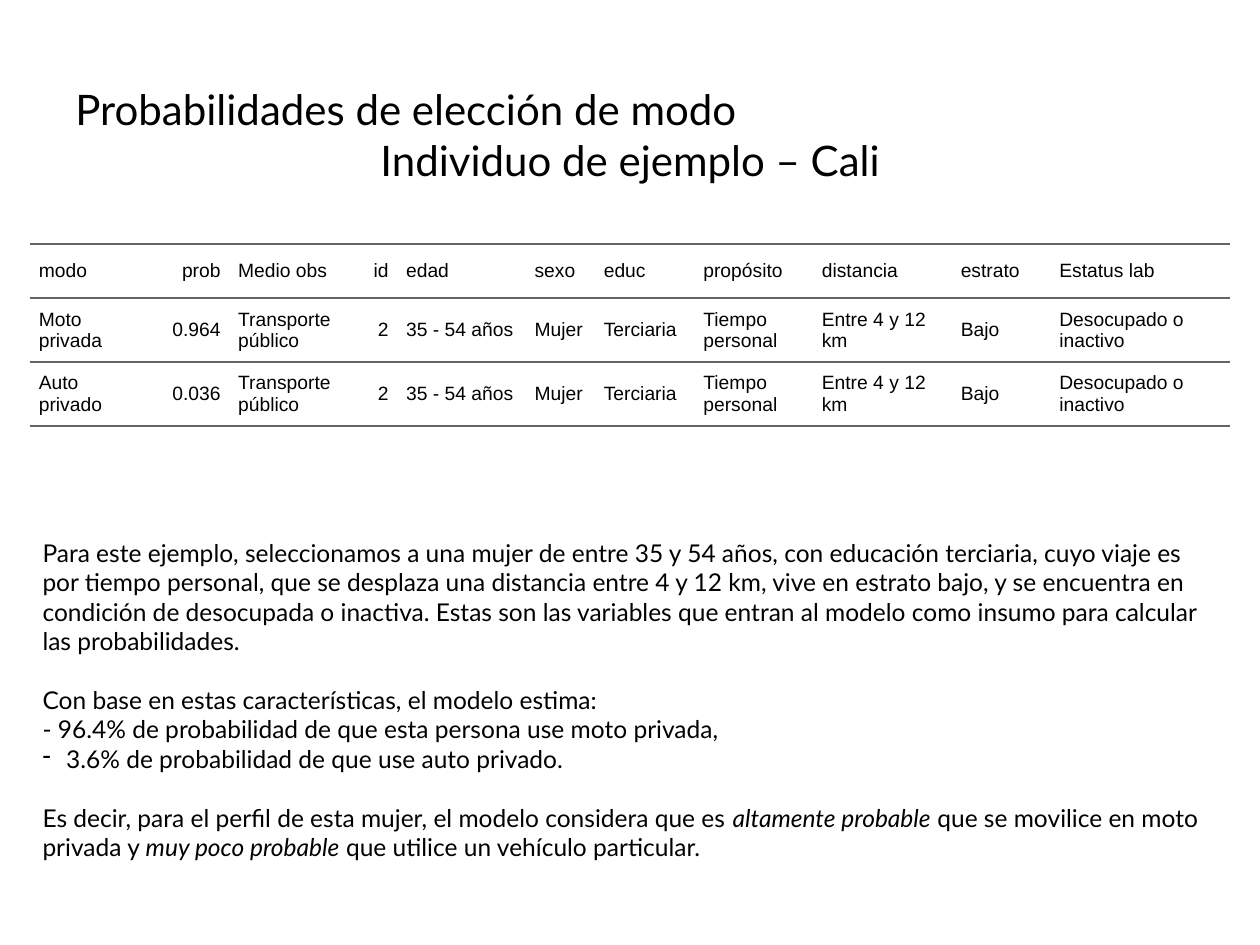
"""Builds the slide on mode choice probabilities for an example person in Cali."""
from pptx import Presentation
from pptx.dml.color import RGBColor
from pptx.enum.text import MSO_ANCHOR, MSO_AUTO_SIZE, PP_ALIGN
from pptx.oxml import parse_xml
from pptx.oxml.ns import nsdecls
from pptx.util import Pt

LEFT, CENTER, RIGHT = PP_ALIGN.LEFT, PP_ALIGN.CENTER, PP_ALIGN.RIGHT
MIDDLE = MSO_ANCHOR.MIDDLE
GROW = MSO_AUTO_SIZE.SHAPE_TO_FIT_TEXT
BLACK = RGBColor(0x00, 0x00, 0x00)
GRAY = RGBColor(0x66, 0x66, 0x66)

TITLE_FORMAT = {"name": "Lato", "size": Pt(24)}
TABLE_FORMAT = {"name": "Arial", "size": Pt(11)}
BODY_FORMAT = {"name": "Lato", "size": Pt(14)}
CELL_FORMAT = {"margin_left": 0, "margin_right": 0, "margin_top": Pt(5),
               "margin_bottom": Pt(5), "vertical_anchor": MIDDLE}
CELL_SPACING = {"space_before": Pt(5), "space_after": Pt(5)}

COLUMN_WIDTHS = (65.6, 48.3, 73.4, 22.6, 73.4, 39.6, 56.9, 67.7, 79.4, 56.3, 102.4)
ROW_HEIGHT = 30.96
NUMBER_COLUMNS = (1, 3)
PROFILE = ("Transporte público", "2", "35 - 54 años", "Mujer", "Terciaria",
           "Tiempo personal", "Entre 4 y 12 km", "Bajo", "Desocupado o inactivo")
ROWS = (
    ("modo", "prob", "Medio obs", "id", "edad", "sexo", "educ", "propósito",
     "distancia", "estrato", "Estatus lab"),
    ("Moto privada", "0.964", *PROFILE),
    ("Auto privado", "0.036", *PROFILE),
)
ROW_BORDERS = (("lnT", "lnB"), ("lnT",), ("lnB",))
PLAIN_STYLE = "{2D5ABB26-0587-4C30-8999-92F81FD0307C}"

INTRO = ("Para este ejemplo, seleccionamos a una mujer de entre 35 y 54 años, con educación "
         "terciaria, cuyo viaje es por tiempo personal, que se desplaza una distancia entre "
         "4 y 12 km, vive en estrato bajo, y se encuentra en condición de desocupada o "
         "inactiva. Estas son las variables que entran al modelo como insumo para calcular "
         "las probabilidades.")
CONCLUSION = ("Es decir, para el perfil de esta mujer, el modelo considera que es ",
              "altamente probable", " que se movilice en moto privada y ",
              "muy poco probable", " que utilice un vehículo particular.")
BODY = (
    ((INTRO,), 0, False),
    (("Con base en estas características, el modelo estima:",), 16.8, False),
    (("- 96.4% de probabilidad de que esta persona use moto privada,",), 0, False),
    (("3.6% de probabilidad de que use auto privado.",), 0, True),
    (CONCLUSION, 16.8, False),
)


def apply_format(target, values):
    """Set every attribute in values on target."""
    for name, value in values.items():
        setattr(target, name, value)


def add_span(para, text, font_format, italic=False):
    """Append a black run of text to a paragraph."""
    span = para.add_run()
    span.text = text
    apply_format(span.font, font_format)
    span.font.color.rgb = BLACK
    if italic:
        span.font.italic = True


def add_text_box(page, left, top, width, height):
    """Add a wrapping text box and return its text frame."""
    frame = page.shapes.add_textbox(Pt(left), Pt(top), Pt(width), Pt(height)).text_frame
    frame.word_wrap = True
    return frame


def next_para(frame, index):
    """Return the first paragraph of a frame or a new one."""
    return frame.add_paragraph() if index else frame.paragraphs[0]


def add_title(page):
    """Add the two title lines."""
    frame = add_text_box(page, 36, 31.7, 648, 90)
    frame.vertical_anchor = MIDDLE
    lines = (("Probabilidades de elección de modo", LEFT),
             ("Individuo de ejemplo – Cali", CENTER))
    for index, (text, alignment) in enumerate(lines):
        para = next_para(frame, index)
        para.alignment = alignment
        add_span(para, text, TITLE_FORMAT)


def fill_cell(cell, text, alignment, borders):
    """Write one table cell with its rules."""
    apply_format(cell, CELL_FORMAT)
    properties = cell._tc.get_or_add_tcPr()
    for tag in borders:
        properties.append(parse_xml(
            f'<a:{tag} {nsdecls("a")} w="{Pt(1.5)}"><a:solidFill>'
            f'<a:srgbClr val="{GRAY}"/></a:solidFill></a:{tag}>'))
    cell.fill.background()
    para = cell.text_frame.paragraphs[0]
    apply_format(para, CELL_SPACING)
    para.alignment = alignment
    for side in ("marL", "marR"):
        para._p.get_or_add_pPr().set(side, str(Pt(5)))
    add_span(para, text, TABLE_FORMAT)


def add_probability_table(page):
    """Add the table of probabilities by mode."""
    frame = page.shapes.add_table(len(ROWS), len(COLUMN_WIDTHS), Pt(17.2), Pt(139.5),
                                  Pt(sum(COLUMN_WIDTHS)), Pt(ROW_HEIGHT * len(ROWS)))
    table = frame.table
    apply_format(table, {"first_row": False, "horz_banding": False})
    table._tbl.tblPr[0].text = PLAIN_STYLE
    for column, width in zip(table.columns, COLUMN_WIDTHS):
        column.width = Pt(width)
    for row, (texts, borders) in enumerate(zip(ROWS, ROW_BORDERS)):
        for column, text in enumerate(texts):
            alignment = RIGHT if column in NUMBER_COLUMNS else LEFT
            fill_cell(table.cell(row, column), text, alignment, borders)


def add_dash(para):
    """Give a paragraph a hanging dash bullet."""
    properties = para._p.get_or_add_pPr()
    properties.set("marL", str(Pt(13.5)))
    properties.set("indent", str(-Pt(13.5)))
    properties.append(parse_xml(f'<a:buChar {nsdecls("a")} char="-"/>'))


def add_body(page):
    """Add the explanation, with every second span in italics."""
    frame = add_text_box(page, 17.2, 303.8, 686, 193.7)
    frame.auto_size = GROW
    for index, (texts, gap, dashed) in enumerate(BODY):
        para = next_para(frame, index)
        if dashed:
            add_dash(para)
        if gap:
            para.space_before = Pt(gap)
        for position, text in enumerate(texts):
            add_span(para, text, BODY_FORMAT, italic=position % 2 == 1)


def main():
    """Build and save the deck."""
    deck = Presentation()
    apply_format(deck, {"slide_width": Pt(720), "slide_height": Pt(540)})
    page = deck.slides.add_slide(deck.slide_layouts[6])
    add_title(page)
    add_probability_table(page)
    add_body(page)
    deck.save("out.pptx")


if __name__ == "__main__":
    main()
